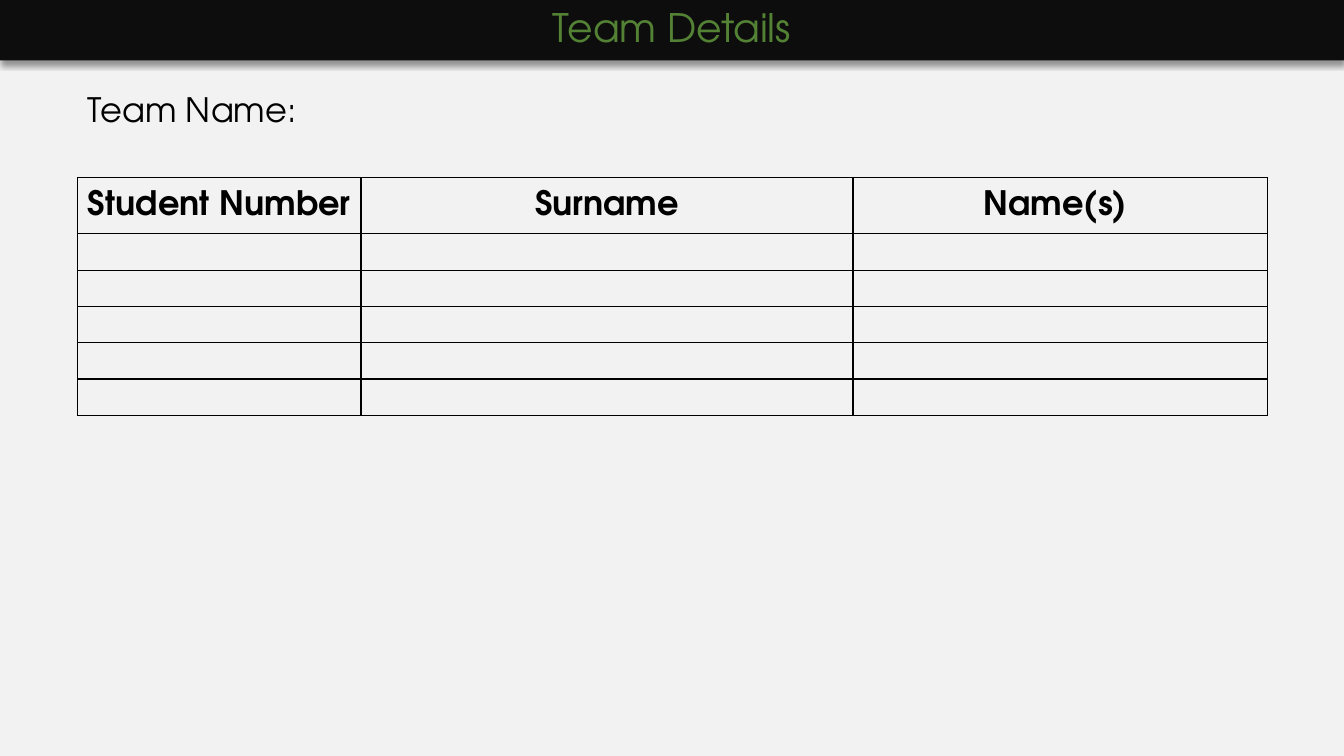
import pptx
import pptx.dml.color
import pptx.enum.shapes
import pptx.enum.text
import pptx.oxml.ns
import pptx.util
from lxml import etree

COLORS = {"page": "F2F2F2", "banner": "0D0D0D", "title": "548235", "ink": "000000"}
FONT = "TeX Gyre Adventor"
CENTER = pptx.enum.text.PP_ALIGN.CENTER
LEFT = pptx.enum.text.PP_ALIGN.LEFT
MIDDLE = pptx.enum.text.MSO_ANCHOR.MIDDLE


def color(name):
    return pptx.dml.color.RGBColor.from_string(COLORS[name])


def add_xml(parent, tag, **attributes):
    return etree.SubElement(parent, pptx.oxml.ns.qn(tag), attributes)


class Page:
    """A slide whose lengths are given in percent of its width and height."""

    def __init__(self, deck):
        self.deck = deck
        self.slide = deck.slides.add_slide(deck.slide_layouts[6])
        self.slide.background.fill.solid()
        self.slide.background.fill.fore_color.rgb = color("page")

    def across(self, percent):
        return pptx.util.Emu(round(self.deck.slide_width * percent / 100))

    def down(self, percent):
        return pptx.util.Emu(round(self.deck.slide_height * percent / 100))

    def place(self, left, top, width, height):
        return self.across(left), self.down(top), self.across(width), self.down(height)

    def add_text(self, para, text, size, ink="ink", bold=False, align=LEFT):
        para.alignment = align
        span = para.add_run()
        span.text = text
        span.font.name = FONT
        span.font.size = pptx.util.Pt(size)
        span.font.bold = bold
        span.font.color.rgb = color(ink)

    def banner(self, text, *area):
        box = self.slide.shapes.add_shape(
            pptx.enum.shapes.MSO_SHAPE.RECTANGLE, *self.place(*area))
        box.fill.solid()
        box.fill.fore_color.rgb = color("banner")
        box.line.fill.background()
        box.shadow.inherit = False
        effects = box._element.spPr.find(pptx.oxml.ns.qn("a:effectLst"))
        shadow = add_xml(effects, "a:outerShdw", blurRad=str(pptx.util.Pt(4)),
                         dist=str(pptx.util.Pt(3)), dir="5400000", rotWithShape="0")
        shade = add_xml(shadow, "a:srgbClr", val=COLORS["ink"])
        add_xml(shade, "a:alpha", val="40000")
        box.text_frame.vertical_anchor = MIDDLE
        para = box.text_frame.paragraphs[0]
        para.line_spacing = 0.9
        self.add_text(para, text, 28, ink="title", align=CENTER)

    def label(self, text, *area):
        box = self.slide.shapes.add_textbox(*self.place(*area))
        box.text_frame.word_wrap = True
        para = box.text_frame.paragraphs[0]
        para.line_spacing = 0.9
        para.space_before = pptx.util.Pt(10)
        self.add_text(para, text, 24)

    def style_cell(self, cell):
        properties = cell._tc.get_or_add_tcPr()
        for side in ("a:lnL", "a:lnR", "a:lnT", "a:lnB"):
            line = add_xml(properties, side, w=str(pptx.util.Pt(1)))
            add_xml(add_xml(line, "a:solidFill"), "a:srgbClr", val=COLORS["ink"])
        cell.fill.background()
        cell.vertical_anchor = MIDDLE
        cell.margin_left = cell.margin_right = pptx.util.Inches(0.05)

    def form_table(self, headings, widths, heights, left, top):
        table = self.slide.shapes.add_table(
            len(heights), len(widths),
            *self.place(left, top, sum(widths), sum(heights))).table
        table.horz_banding = False
        table.first_row = False
        for column, width in zip(table.columns, widths):
            column.width = self.across(width)
        for row, height in zip(table.rows, heights):
            row.height = self.down(height)
        for cell in table.iter_cells():
            self.style_cell(cell)
        for cell, heading in zip(table.rows[0].cells, headings):
            self.add_text(cell.text_frame.paragraphs[0], heading, 24,
                          bold=True, align=CENTER)
        # Small type in the empty rows keeps them at their set height
        for row in list(table.rows)[1:]:
            for cell in row.cells:
                add_xml(cell.text_frame.paragraphs[0]._p, "a:endParaRPr", sz="1200")


def main():
    deck = pptx.Presentation()
    deck.slide_width = pptx.util.Inches(13.33)
    deck.slide_height = pptx.util.Inches(7.5)
    page = Page(deck)
    margin = 5.78

    # Team name line
    page.label("Team Name:", margin, 11.73, 100 - 2 * margin, 8)

    # Title banner
    page.banner("Team Details", 0, 0, 100, 8)

    # Member table: one heading row and five rows to fill in
    page.form_table(["Student Number", "Surname", "Name(s) "],
                    [21.08, 36.61, 30.83], [7.47] + [4.8] * 5, margin, 23.47)

    deck.save("out.pptx")


if __name__ == "__main__":
    main()
